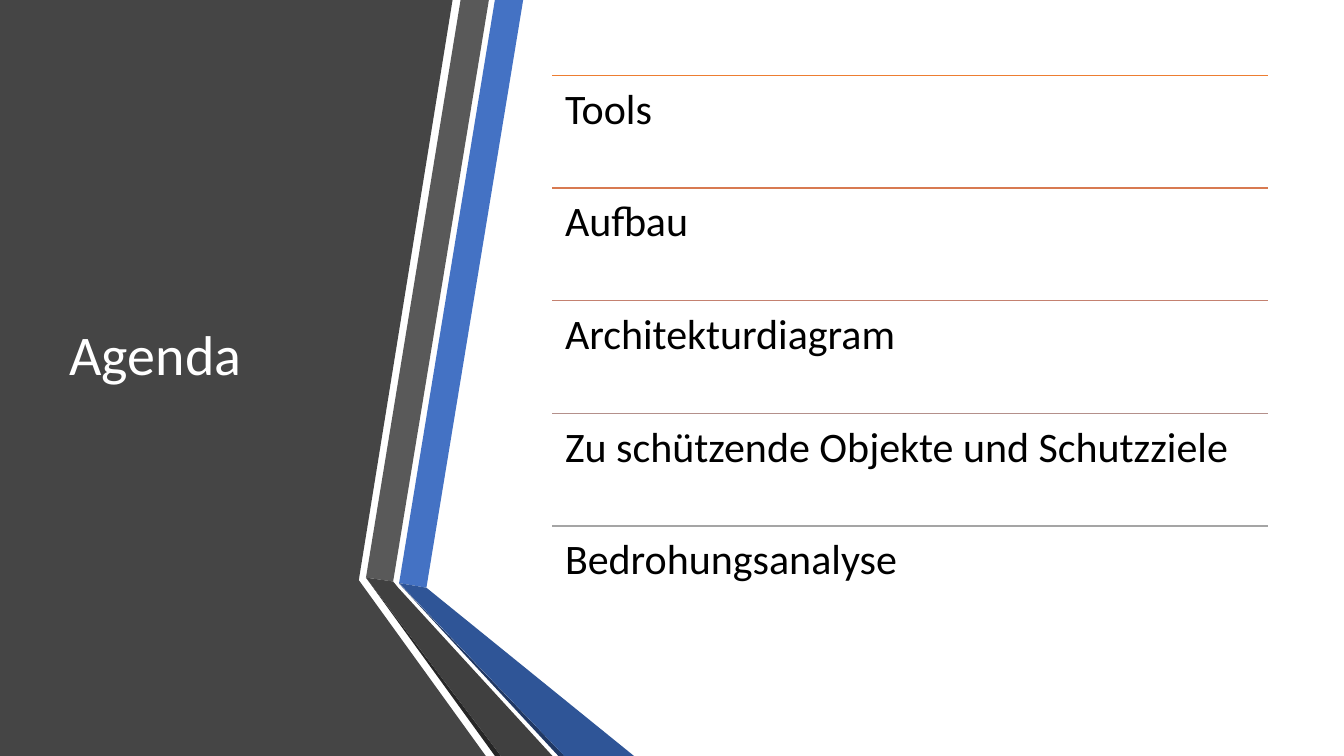
import pptx
import pptx.dml.color
import pptx.enum.shapes
import pptx.enum.text
import pptx.oxml
import pptx.util

Pt = pptx.util.Pt
FONT = "Calibri"

RIBBONS = [
    ("454545", [(0, 0), (323.3, 0), (256.3, 414.4), (347, 540), (0, 540)]),
    ("4472C4", [(285.1, 416.5), (304.6, 419.8), (373.7, 0), (353.5, 0)]),
    ("595959", [(349.2, 0), (329, 0), (261.4, 412.6), (280.8, 415.4)]),
    ("262626", [(261.4, 412.6), (353.5, 540), (357.8, 540)]),
    ("203864", [(285.1, 416.9), (398.9, 540), (403.2, 540)]),
    ("2F5597", [(285.1, 416.5), (403.2, 540), (452.9, 540), (304.6, 419.8)]),
    ("404040", [(394.6, 540), (284.4, 419.8), (280.8, 415.4), (261.4, 412.6), (357.8, 540)]),
]

AGENDA = [
    ("Tools", "ED7D31"),
    ("Aufbau", "D87A51"),
    ("Architekturdiagram", "C48170"),
    ("Zu schützende Objekte und Schutzziele", "B4908B"),
    ("Bedrohungsanalyse", "A5A5A5"),
]
AGENDA_LEFT, AGENDA_TOP, AGENDA_WIDTH, ROW_HEIGHT = 394.6, 54, 511.2, 80.4


def set_color(color_format, hex_color):
    color_format.rgb = pptx.dml.color.RGBColor.from_string(hex_color)


def write_text(shape, text, size, color, anchor="TOP", inset=None, space_after=0):
    frame = shape.text_frame
    frame.word_wrap = True
    frame.auto_size = pptx.enum.text.MSO_AUTO_SIZE.NONE
    frame.vertical_anchor = pptx.enum.text.MSO_ANCHOR[anchor]
    if inset is not None:
        frame.margin_left = frame.margin_right = Pt(inset)
        frame.margin_top = frame.margin_bottom = Pt(inset)
    paragraph = frame.paragraphs[0]
    paragraph.alignment = pptx.enum.text.PP_ALIGN.LEFT
    paragraph.line_spacing = 0.9
    paragraph.space_after = Pt(space_after)
    run = paragraph.add_run()
    run.text = text
    run.font.name = FONT
    run.font.size = Pt(size)
    set_color(run.font.color, color)


def add_polygon(slide, color, points):
    vertices = [(Pt(x), Pt(y)) for x, y in points]
    builder = slide.shapes.build_freeform(*vertices[0])
    builder.add_line_segments(vertices[1:], close=True)
    shape = builder.convert_to_shape()
    shape.shadow.inherit = False
    shape.fill.solid()
    set_color(shape.fill.fore_color, color)
    shape.line.fill.background()


def add_rule(slide, left, top, width, color):
    rule = slide.shapes.add_connector(
        pptx.enum.shapes.MSO_CONNECTOR.STRAIGHT, Pt(left), Pt(top), Pt(left + width), Pt(top))
    rule.line.width = Pt(1)
    set_color(rule.line.color, color)
    rule.element.spPr.append(pptx.oxml.parse_xml(
        '<a:effectLst xmlns:a="http://schemas.openxmlformats.org/drawingml/2006/main"/>'))


def add_agenda_row(slide, top, text, rule_color):
    add_rule(slide, AGENDA_LEFT, top, AGENDA_WIDTH, rule_color)
    box = slide.shapes.add_textbox(Pt(AGENDA_LEFT), Pt(top), Pt(AGENDA_WIDTH), Pt(ROW_HEIGHT))
    write_text(box, text, size=30, color="000000", inset=9, space_after=10.5)


def place_title(slide, text):
    title = slide.shapes.title
    title.left, title.top, title.width, title.height = Pt(42.5), Pt(54), Pt(219), Pt(402)
    write_text(title, text, size=40, color="FFFFFF", anchor="MIDDLE")
    title.element.getparent().append(title.element)


def main():
    presentation = pptx.Presentation()
    presentation.slide_width, presentation.slide_height = Pt(960), Pt(540)
    slide = presentation.slides.add_slide(presentation.slide_layouts[5])
    for color, points in RIBBONS:
        add_polygon(slide, color, points)
    place_title(slide, "Agenda")
    for index, (text, rule_color) in enumerate(AGENDA):
        add_agenda_row(slide, AGENDA_TOP + index * ROW_HEIGHT, text, rule_color)
    presentation.save("out.pptx")


if __name__ == "__main__":
    main()
